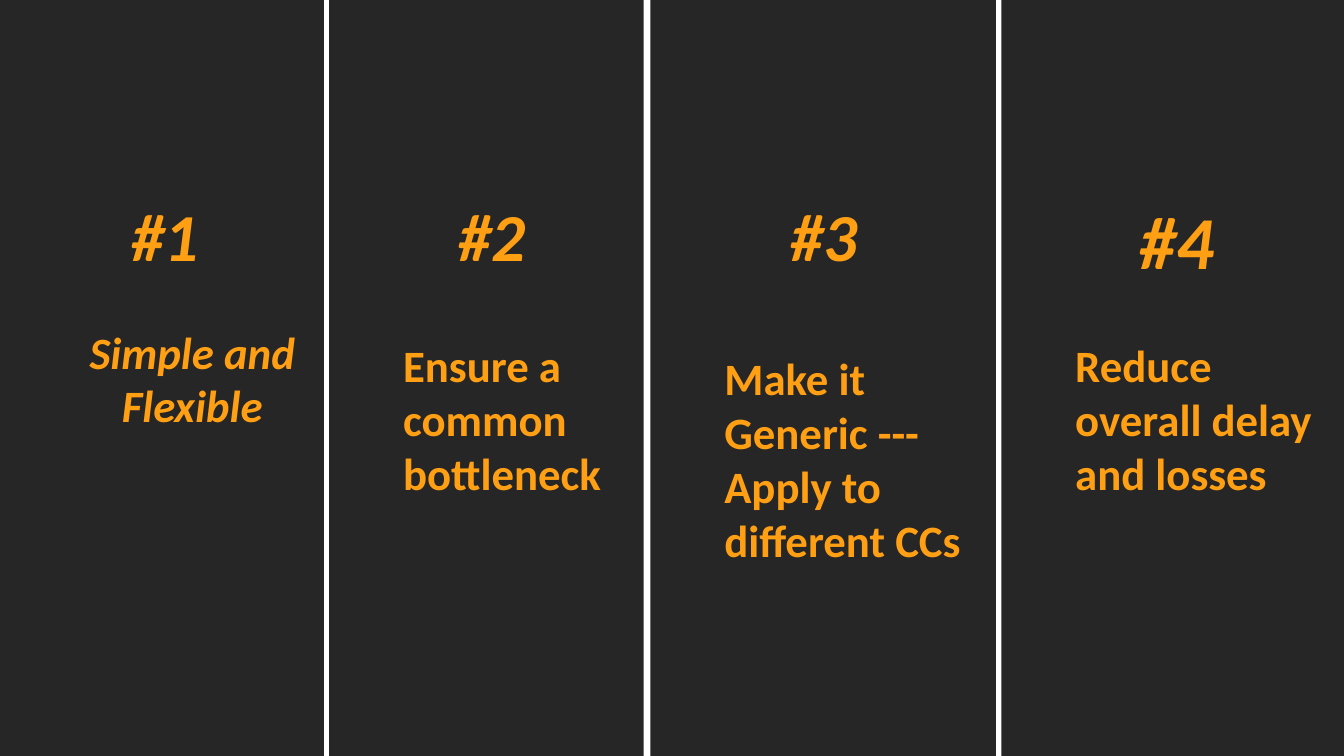
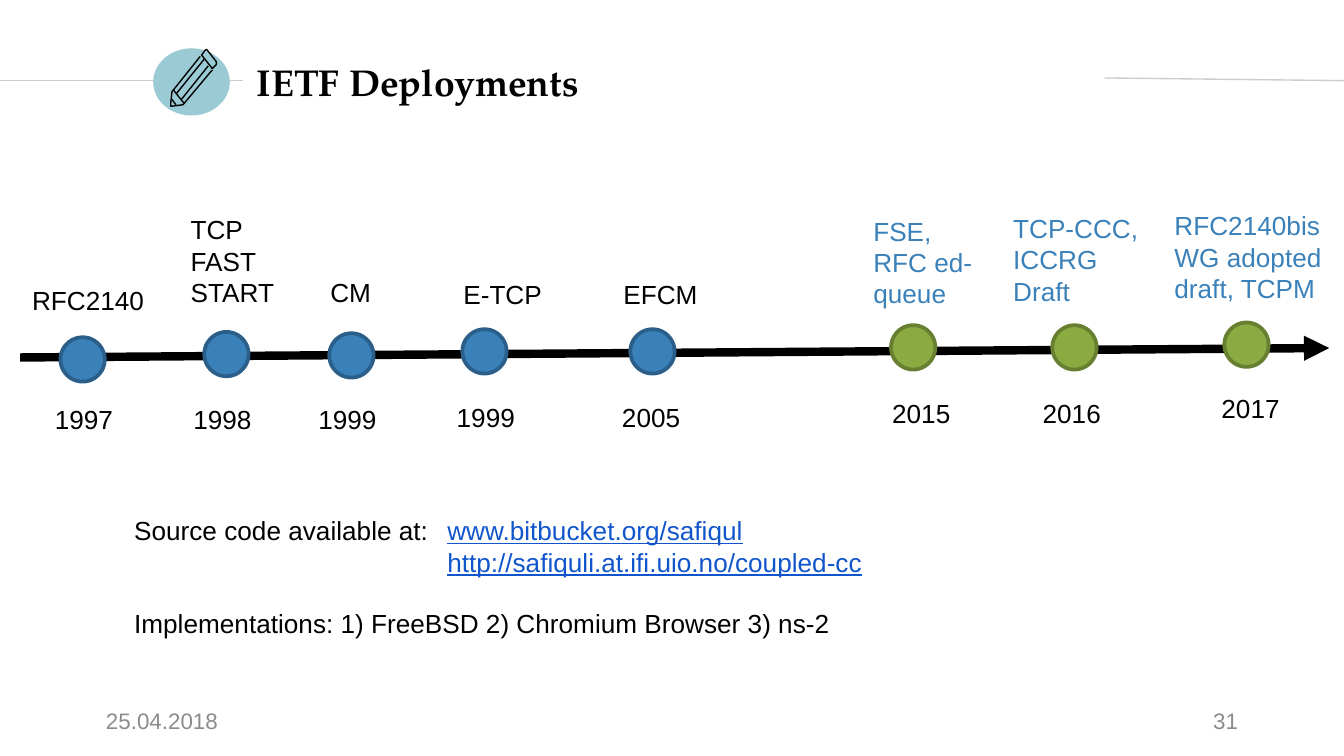
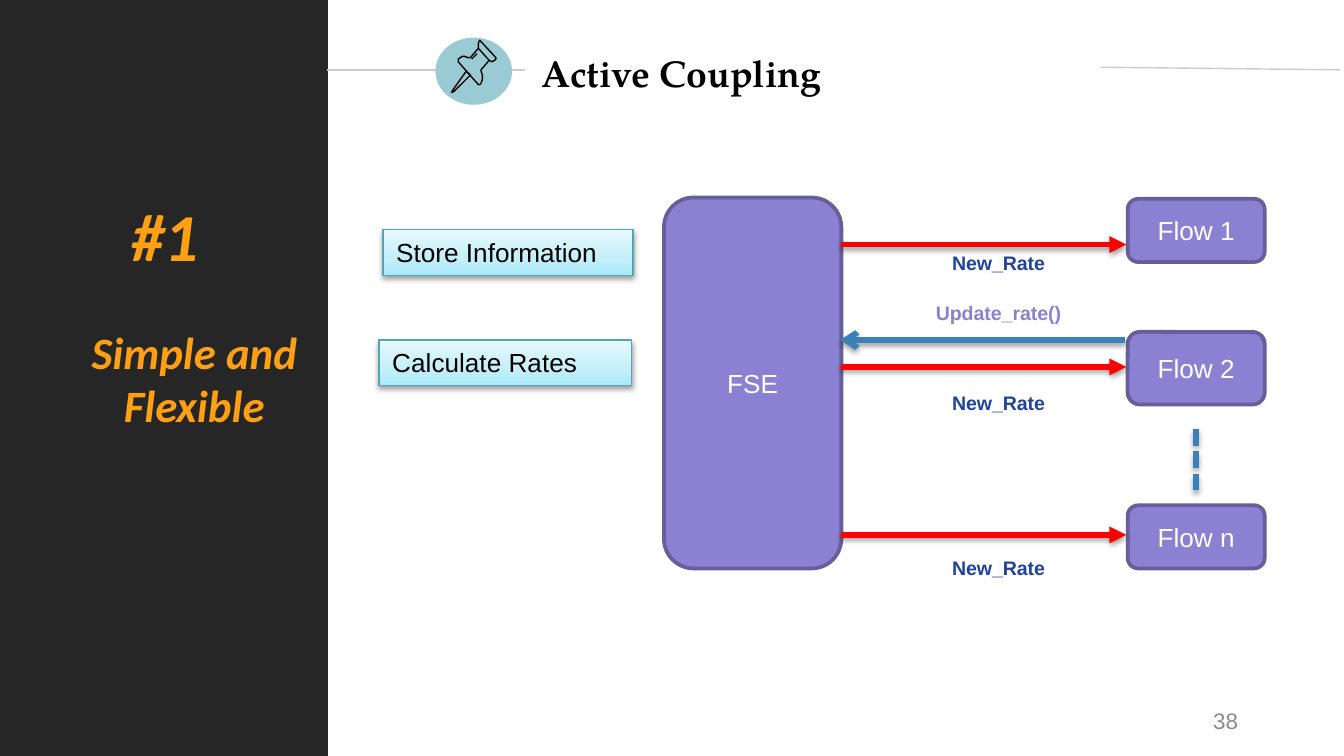
from copy import deepcopy
from dataclasses import dataclass

from lxml import etree
from pptx import Presentation
from pptx.dml.color import RGBColor
from pptx.enum.dml import MSO_LINE
from pptx.enum.shapes import MSO_CONNECTOR, MSO_SHAPE
from pptx.enum.text import MSO_ANCHOR, PP_ALIGN
from pptx.oxml.ns import qn
from pptx.util import Inches, Pt

RECTANGLE, ROUNDED, OVAL = MSO_SHAPE.RECTANGLE, MSO_SHAPE.ROUNDED_RECTANGLE, MSO_SHAPE.OVAL
STRAIGHT = MSO_CONNECTOR.STRAIGHT
DASHED = MSO_LINE.SQUARE_DOT
TOP, MIDDLE = MSO_ANCHOR.TOP, MSO_ANCHOR.MIDDLE
LEFT, CENTER, RIGHT = PP_ALIGN.LEFT, PP_ALIGN.CENTER, PP_ALIGN.RIGHT

PAGE_WIDTH = 10
PAGE_HEIGHT = PAGE_WIDTH * 9 / 16

COLOURS = {
    "panel": "262626", "orange": "FF9F13", "black": "000000", "white": "FFFFFF",
    "footer": "8C8C8C", "rule": "CCCCCC", "disc": "9ACAD3", "link": "1155CC",
    "blue": "3A81BA", "blue edge": "2B5F8A", "green": "8BAB42", "green edge": "677F31",
    "purple": "8B81D2", "purple edge": "675F9B", "navy": "21449B", "red": "FF0000",
    "task edge": "53A5B3", "task low": "A9E9F9", "task middle": "C3EFF9", "task high": "E7F9FE",
}


def text_style(colour, size, name="Arial", **values):
    """Return the font values of one kind of text."""
    return {"colour": colour, "name": name, "size": Pt(size), **values}


STYLES = {
    "principle": text_style("orange", 24, "Calibri", bold=True),
    "slanted principle": text_style("orange", 24, "Calibri", bold=True, italic=True),
    "number": text_style("orange", 36, "Calibri", bold=True, italic=True),
    "large number": text_style("orange", 40, "Calibri", bold=True, italic=True),
    "title": text_style("black", 20, "TeX Gyre Pagella", bold=True),
    "footer": text_style("footer", 12),
    "body": text_style("black", 14),
    "recent": text_style("blue", 14),
    "link": text_style("link", 14, underline=True),
    "node": text_style("white", 14),
    "rate": text_style("navy", 10.5, bold=True),
    "update": text_style("purple", 10.5, bold=True),
}

PENCIL = [
    ([(47, 10), (40, 1), (39, 1), (36, 5), (44, 15), (47, 12), (47, 11)], True),
    ([(41, 13), (21, 38)], False),
    ([(35, 6), (15, 31), (14, 32), (13, 41), (13, 43), (14, 43), (22, 42), (23, 41), (44, 16)], False),
    ([(17, 34), (38, 8)], False),
    ([(17, 42), (14, 38)], False),
    ([(15, 31), (23, 41)], False),
]
PUSHPIN = [
    ([(23, 25), (13, 39), (12, 41), (14, 40), (26, 28)], True),
    ([(32, 8), (40, 17), (42, 18), (44, 17), (45, 16), (45, 15), (34, 3), (33, 2), (32, 4)], True),
    ([(32, 8), (26, 15), (24, 15), (22, 14), (20, 14), (17, 16), (17, 18), (32, 35), (33, 35),
      (34, 34), (35, 31), (35, 28), (34, 25), (34, 24), (40, 17)], False),
    ([(27, 16), (31, 12)], False),
]

EARLIER = ("body", "blue", "blue edge")
RECENT = ("recent", "green", "green edge")
EVENTS = [
    (["RFC2140"], (0.14, 0.57, 1.04), (0.45, 1.01), "1997", (0.31, 1.45), EARLIER),
    (["TCP FAST START"], (1.32, 0.04, 1.04), (1.52, 0.97), "1998", (1.34, 1.45), EARLIER),
    (["CM"], (2.36, 0.51, 1.04), (2.45, 0.98), "1999", (2.27, 1.45), EARLIER),
    (["E-TCP"], (3.35, 0.52, 1.04), (3.44, 0.95), "1999", (3.3, 1.44), EARLIER),
    (["EFCM"], (4.54, 0.52, 0.79), (4.69, 0.95), "2005", (4.53, 1.44), EARLIER),
    (["FSE, RFC ed-queue"], (6.4, 0.05, 1.06), (6.63, 0.92), "2015", (6.54, 1.41), RECENT),
    (["TCP-CCC, ICCRG Draft"], (7.44, 0.03, 1.18), (7.83, 0.92), "2016", (7.66, 1.41), RECENT),
    (["RFC2140bis", "WG adopted draft, TCPM"], (8.64, 0.01, 1.48), (9.11, 0.9), "2017",
     (8.99, 1.37), RECENT),
]

FLOWS = [
    ("Flow 1", 0.01, 0.47, 0.35, 0.35),
    ("Flow 2", 1.0, 0.54, 1.26, 1.39),
    ("Flow n", 2.29, 0.47, 2.51, 2.62),
]


@dataclass
class Box:
    """A rectangle in inches."""
    left: float
    top: float
    width: float
    height: float

    def inside(self, left, top, width, height):
        """Return a box placed relative to this one."""
        return Box(self.left + left, self.top + top, width, height)

    def point(self, across, down):
        """Return a point placed relative to this box."""
        return self.left + across, self.top + down

    def lengths(self):
        """Return the four lengths of the box."""
        return [Inches(side) for side in (self.left, self.top, self.width, self.height)]


def rgb(colour):
    """Return the named colour."""
    return RGBColor.from_string(COLOURS[colour])


def set_values(target, values):
    """Set each attribute named in a dict."""
    for name, value in values.items():
        setattr(target, name, value)


def format_font(font, style):
    """Apply a named text style to a font."""
    values = dict(STYLES[style])
    font.color.rgb = rgb(values.pop("colour"))
    set_values(font, values)


def write(frame, lines, style, align=LEFT, **frame_values):
    """Write one paragraph per line, each a string or a list of styled spans."""
    set_values(frame, {"word_wrap": True, "vertical_anchor": TOP, **frame_values})
    for index, line in enumerate(lines):
        para = frame.add_paragraph() if index else frame.paragraphs[0]
        para.alignment = align
        for text, span_style in [(line, style)] if isinstance(line, str) else line:
            span = para.add_run()
            span.text = text
            format_font(span.font, span_style)


def add_text(page, box, lines, style, align=LEFT, **frame_values):
    """Add a text box."""
    frame = page.shapes.add_textbox(*box.lengths()).text_frame
    write(frame, lines, style, align, **frame_values)
    return frame


def set_effects(item, shadow=False):
    """Replace the theme shadow by none or by a soft one below."""
    effects = etree.SubElement(item._element.spPr, qn("a:effectLst"))
    if shadow:
        outer = etree.SubElement(effects, qn("a:outerShdw"), blurRad=str(Pt(3.1)),
                                 dist=str(Pt(1.6)), dir="5400000", rotWithShape="0")
        black = etree.SubElement(outer, qn("a:srgbClr"), val=COLOURS["black"])
        etree.SubElement(black, qn("a:alpha"), val="38000")


def set_line(line, colour, width):
    """Give a line its colour and width in points."""
    line.color.rgb = rgb(colour)
    line.width = Pt(width)


def add_shape(page, kind, box, fill, edge=None, width=2):
    """Add a flat preset shape."""
    shape = page.shapes.add_shape(kind, *box.lengths())
    shape.fill.solid()
    shape.fill.fore_color.rgb = rgb(fill)
    if edge:
        set_line(shape.line, edge, width)
    else:
        shape.line.fill.background()
    set_effects(shape)
    return shape


def add_line(page, start, end, colour, width, arrow=None, dash=None, shadow=False):
    """Add a straight line, with an arrowhead at its end if one is named."""
    connector = page.shapes.add_connector(STRAIGHT, *[Inches(side) for side in (*start, *end)])
    set_line(connector.line, colour, width)
    if dash:
        connector.line.dash_style = dash
    if arrow:
        outline = connector._element.spPr.find(qn("a:ln"))
        etree.SubElement(outline, qn("a:tailEnd"), type=arrow)
    set_effects(connector, shadow)


def add_principle(page, box, number, text, number_left, inset=0.05,
                  style="principle", number_style="number", align=LEFT):
    """Add a dark column with a numbered principle."""
    panel = add_shape(page, RECTANGLE, box, "panel")
    write(panel.text_frame, [text], style, align, vertical_anchor=MIDDLE,
          margin_left=Inches(0.55), margin_top=Inches(inset))
    add_text(page, box.inside(number_left, 1.4, 1.05, 0.71), [number], number_style)


def add_first_principle(page, width):
    """Add the column of the first principle."""
    add_principle(page, Box(0, 0, width, PAGE_HEIGHT), "#1", "Simple and Flexible", 0.88,
                  style="slanted principle", align=CENTER)


def add_icon(page, box, strokes):
    """Draw outline strokes given in hundredths of an inch."""
    for points, closed in strokes:
        builder = page.shapes.build_freeform(*points[0], scale=Inches(0.01))
        builder.add_line_segments(points[1:], close=closed)
        outline = builder.convert_to_shape(Inches(box.left), Inches(box.top))
        outline.fill.background()
        set_line(outline.line, "black", 0.75)
        set_effects(outline)


def add_header(page, box, disc_left, title_offset, title, icon):
    """Add the title with its icon disc and the rules beside it."""
    disc = box.inside(disc_left, 0, 0.57, 0.5)
    add_line(page, box.point(0, 0.24), disc.point(0.67, 0.24), "rule", 0.75)
    add_line(page, box.point(box.width - 1.78, 0.22), box.point(box.width, 0.24), "rule", 0.75)
    add_shape(page, OVAL, disc, "disc")
    add_icon(page, disc, icon)
    heading = page.shapes.title
    places = disc.inside(*title_offset, 3, 0.48).lengths()
    set_values(heading, dict(zip(("left", "top", "width", "height"), places)))
    sides = ("margin_left", "margin_top", "margin_right", "margin_bottom")
    write(heading.text_frame, [title], "title", vertical_anchor=MIDDLE,
          **dict.fromkeys(sides, Inches(0.1)))


def add_footer(page, number, date=None):
    """Add the slide number and, if given, the date."""
    if date:
        add_text(page, Box(0.69, 5.21, 2.25, 0.3), [date], "footer", vertical_anchor=MIDDLE)
    add_text(page, Box(7.06, 5.21, 2.25, 0.3), [number], "footer", RIGHT, vertical_anchor=MIDDLE)


def add_timeline(page, box):
    """Add the arrow of years with its labelled events."""
    add_line(page, box.point(0.15, 1.16), box.point(9.89, 1.09), "black", 4.5, "triangle")
    for lines, (left, top, width), dot, year, year_place, (style, fill, edge) in EVENTS:
        height = 0.34 if top > 0.5 else 0.81
        add_shape(page, OVAL, box.inside(*dot, 0.33, 0.33), fill, edge)
        add_text(page, box.inside(left, top, width, height), lines, style)
        add_text(page, box.inside(*year_place, 0.7, 0.34), [year], "body")


def add_sources(page, box):
    """Add the code addresses, aligned on a tab, and the implementations."""
    frame = add_text(page, box, [
        [("Source code available at:\t", "body"), ("www.bitbucket.org/safiqul", "link")],
        [("\t", "body"), ("http://safiquli.at.ifi.uio.no/coupled-cc", "link")],
        "Implementations: 1) FreeBSD 2) Chromium Browser 3) ns-2",
    ], "body")
    *addresses, implementations = frame.paragraphs
    for para in addresses:
        tabs = etree.SubElement(para._p.get_or_add_pPr(), qn("a:tabLst"))
        etree.SubElement(tabs, qn("a:tab"), pos=str(Inches(2.33)), algn="l")
    implementations.space_before = Pt(16)


def add_task(page, box, text):
    """Add a shaded box for one task of the server."""
    task = page.shapes.add_shape(RECTANGLE, *box.lengths())
    task.fill.gradient()
    task.fill.gradient_angle = 90
    stops = task._element.spPr.find(qn("a:gradFill")).find(qn("a:gsLst"))
    stops.append(deepcopy(stops[-1]))
    shades = [(0, "task low"), (0.35, "task middle"), (1, "task high")]
    for stop, (position, colour) in zip(task.fill.gradient_stops, shades):
        stop.position = position
        stop.color.rgb = rgb(colour)
    set_line(task.line, "task edge", 0.75)
    set_effects(task, shadow=True)
    write(task.text_frame, [text], "body")


def add_node(page, box, text):
    """Add a rounded purple node."""
    node = add_shape(page, ROUNDED, box, "purple", "purple edge")
    write(node.text_frame, [text], "node", CENTER, vertical_anchor=MIDDLE)


def add_coupling(page, box):
    """Add the server, its tasks, and the messages to and from the flows."""
    add_task(page, box.inside(0.03, 0.24, 1.86, 0.34), "Store Information")
    add_task(page, box.inside(0, 1.06, 1.88, 0.34), "Calculate Rates")
    add_node(page, box.inside(2.12, 0, 1.32, box.height), "FSE")
    for name, top, height, arrow_top, label_top in FLOWS:
        add_node(page, box.inside(5.57, top, 1.02, height), name)
        add_line(page, box.point(3.44, arrow_top), box.point(5.56, arrow_top),
                 "red", 3, "triangle", shadow=True)
        add_text(page, box.inside(3.65, label_top, 1.92, 0.28), ["New_Rate"], "rate", CENTER)
    add_line(page, box.point(5.55, 1.06), box.point(3.43, 1.06), "blue", 3, "arrow", shadow=True)
    add_text(page, box.inside(3.65, 0.72, 1.92, 0.28), ["Update_rate()"], "update", CENTER)
    add_line(page, box.point(6.08, 1.72), box.point(6.08, 2.18), "blue", 3, dash=DASHED, shadow=True)


def build_principles(deck):
    """Build the slide of four principles."""
    page = deck.slides.add_slide(deck.slide_layouts[6])
    add_first_principle(page, 2.41)
    add_principle(page, Box(2.45, 0, 2.34, PAGE_HEIGHT), "#2", "Ensure a common bottleneck",
                  0.86, 0.65)
    add_principle(page, Box(4.84, 0, 2.57, PAGE_HEIGHT), "#3",
                  "Make it Generic --- Apply to different CCs", 0.94, 1.25)
    add_principle(page, Box(7.45, 0, 2.55, PAGE_HEIGHT), "#4", "Reduce overall delay and losses",
                  0.93, 0.65, number_style="large number")


def build_deployments(deck):
    """Build the slide of the timeline."""
    page = deck.slides.add_slide(deck.slide_layouts[5])
    add_header(page, Box(0, 0.36, 10, 0.5), 1.14, (0.67, 0.01), "IETF Deployments", PENCIL)
    add_timeline(page, Box(0, 1.5, 10, 1.8))
    add_sources(page, Box(0.9, 3.78, 8.73, 1.28))
    add_footer(page, "31", "25.04.2018")


def build_coupling(deck):
    """Build the slide of the coupling diagram."""
    page = deck.slides.add_slide(deck.slide_layouts[5])
    add_first_principle(page, 2.44)
    add_header(page, Box(2.43, 0.28, 7.54, 0.5), 0.81, (0.69, 0.02), "Active Coupling", PUSHPIN)
    add_coupling(page, Box(2.82, 1.47, 6.59, 2.76))
    add_footer(page, "38")


def main():
    """Build and save the deck."""
    deck = Presentation()
    set_values(deck, {"slide_width": Inches(PAGE_WIDTH), "slide_height": Inches(PAGE_HEIGHT)})
    for build in (build_principles, build_deployments, build_coupling):
        build(deck)
    deck.save("out.pptx")


if __name__ == "__main__":
    main()
